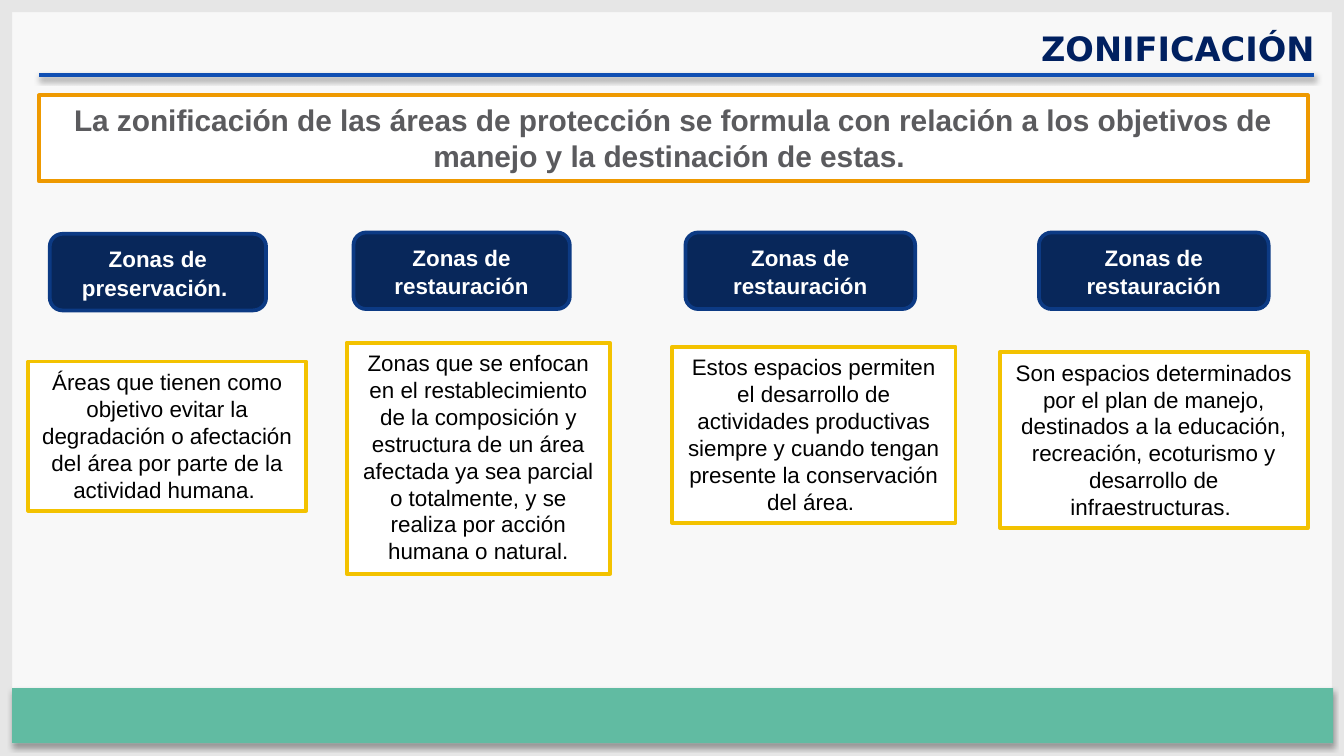
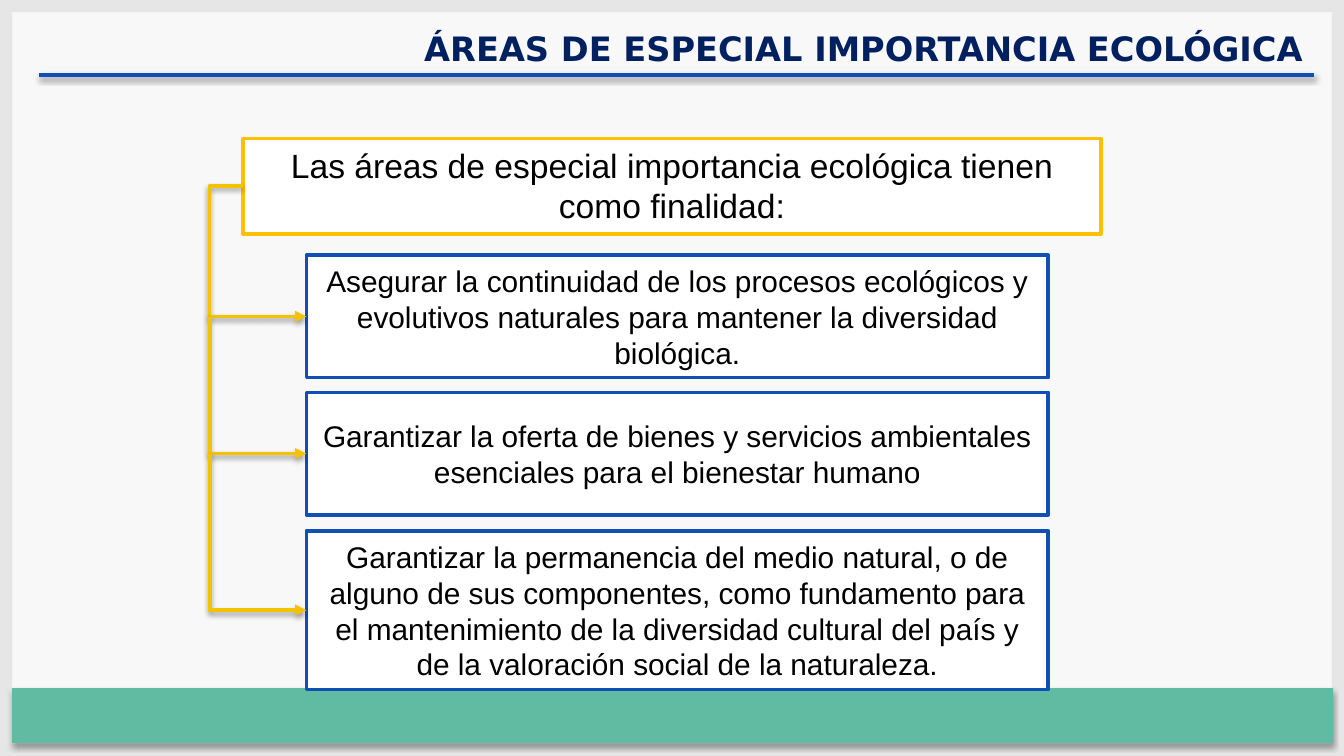
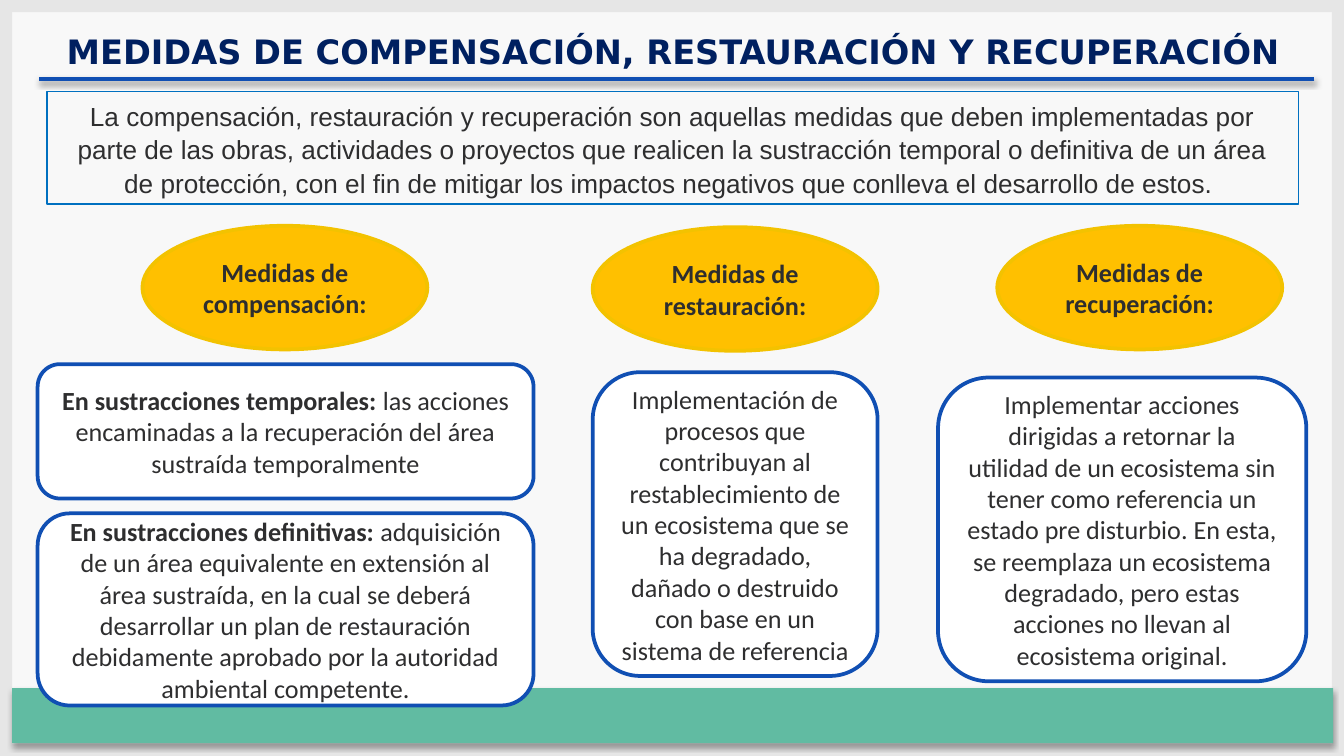
from lxml import etree
from pptx import Presentation
from pptx.dml.color import RGBColor
from pptx.enum.shapes import MSO_CONNECTOR as Connector, MSO_SHAPE as Shape
from pptx.enum.text import MSO_ANCHOR as Anchor, MSO_AUTO_SIZE as AutoSize, PP_ALIGN as Align
from pptx.oxml.ns import qn
from pptx.util import Inches, Pt

WIDTH, EDGE = 10, 0.09
HEIGHT = WIDTH * 9 / 16
PAPER, FRAME, BAND = "F8F8F8", "E6E6E6", "61BBA2"
NAVY, DEEP_BLUE, DEEP_EDGE, BLUE, THIN_BLUE = "002060", "08275A", "0C3A84", "104FB3", "0070C0"
ORANGE, YELLOW, AMBER = "EE9900", "F3C200", "FFC000"
WHITE, BLACK, GREY, INK = "FFFFFF", "000000", "5B5B5E", "2E2E2F"

ZONING_TITLE = "ZONIFICACIÓN"
ZONING_INTRO = (
    "La zonificación de las áreas de protección se formula con relación a los objetivos "
    "de manejo y la destinación de estas. "
)
ZONES = [
    ("Zonas de preservación. ", (0.37, 1.74, 1.61, 0.57),
     "Áreas que tienen como objetivo evitar la degradación o afectación del área por parte "
     "de la actividad humana. ", (0.21, 2.69, 2.07, 1.11)),
    ("Zonas de restauración", (2.63, 1.73, 1.61, 0.57),
     "Zonas que se enfocan en el restablecimiento de la composición y estructura de un área "
     "afectada ya sea parcial o totalmente, y se realiza por acción humana o natural.",
     (2.58, 2.55, 1.96, 1.72)),
    ("Zonas de restauración", (5.1, 1.73, 1.71, 0.57),
     "Estos espacios permiten el desarrollo de actividades productivas siempre y cuando "
     "tengan presente la conservación del área. ", (5, 2.58, 2.11, 1.31)),
    ("Zonas de restauración", (7.73, 1.73, 1.71, 0.57),
     "Son espacios determinados por el plan de manejo, destinados a la educación, recreación, "
     "ecoturismo y desarrollo de infraestructuras. ", (7.44, 2.62, 2.29, 1.31)),
]

ECOLOGY_TITLE = "ÁREAS DE ESPECIAL IMPORTANCIA ECOLÓGICA "
ECOLOGY_INTRO = "Las áreas de especial importancia ecológica tienen como finalidad:"
PURPOSES = [
    ("Asegurar la continuidad de los procesos ecológicos y evolutivos naturales para mantener "
     "la diversidad biológica.", 1.9, 0.91),
    ("Garantizar la oferta de bienes y servicios ambientales esenciales para el bienestar "
     "humano", 2.92, 0.91),
    ("Garantizar la permanencia del medio natural, o de alguno de sus componentes, como "
     "fundamento para el mantenimiento de la diversidad cultural del país y de la valoración "
     "social de la naturaleza.", 3.95, 1.18),
]

MEASURES_TITLE = "MEDIDAS DE COMPENSACIÓN, RESTAURACIÓN Y RECUPERACIÓN"
MEASURES_INTRO = (
    "La compensación, restauración y recuperación son aquellas medidas que deben "
    "implementadas por parte de las obras, actividades o proyectos que realicen la "
    "sustracción temporal o definitiva de un área de protección, con el fin de mitigar los "
    "impactos negativos que conlleva el desarrollo de estos. "
)
MEASURES = [
    ("Medidas de compensación:", 1.06, 1.68, [
        ("En sustracciones temporales: ",
         "las acciones encaminadas a la recuperación del área sustraída temporalmente",
         (0.28, 2.71, 3.69, 1)),
        ("En sustracciones definitivas: ",
         "adquisición de un área equivalente en extensión al área sustraída, en la cual se "
         "deberá desarrollar un plan de restauración debidamente aprobado por la autoridad "
         "ambiental competente.", (0.28, 3.82, 3.69, 1.43)),
    ]),
    ("Medidas de restauración:", 4.41, 1.69, [
        ("", "Implementación de procesos que contribuyan al restablecimiento de un ecosistema "
         "que se ha degradado, dañado o destruido con base en un sistema de referencia",
         (4.41, 2.77, 2.12, 2.26)),
    ]),
    ("Medidas de recuperación:", 7.42, 1.68, [
        ("", "Implementar acciones dirigidas a retornar la utilidad de un ecosistema sin tener "
         "como referencia un estado pre disturbio. En esta, se reemplaza un ecosistema "
         "degradado, pero estas acciones no llevan al ecosistema original.",
         (6.98, 2.81, 2.74, 2.26)),
    ]),
]


def color(value):
    return RGBColor.from_string(value)


def add_shadow(item, opacity, distance):
    properties = item._element.spPr
    for old in properties.findall(qn("a:effectLst")):
        properties.remove(old)
    effects = etree.SubElement(properties, qn("a:effectLst"))
    outer = etree.SubElement(effects, qn("a:outerShdw"), blurRad=str(Pt(3.1)),
                             dist=str(Pt(distance)), dir="5400000", rotWithShape="0")
    tint = etree.SubElement(outer, qn("a:srgbClr"), val=BLACK)
    etree.SubElement(tint, qn("a:alpha"), val=str(opacity * 1000))


def write(box, text, size=12, font="Arial", ink=BLACK, bold=False, lead="",
          align=Align.CENTER, anchor=Anchor.TOP, spacing=None):
    frame = box.text_frame
    frame.word_wrap = True
    frame.vertical_anchor = anchor
    frame.auto_size = AutoSize.SHAPE_TO_FIT_TEXT if anchor == Anchor.TOP else AutoSize.NONE
    para = frame.paragraphs[0]
    para.alignment = align
    if spacing:
        para.line_spacing = spacing
    for words, heavy in ((lead, True), (text, bold)):
        if words:
            span = para.add_run()
            span.text = words
            span.font.size, span.font.name, span.font.bold = Pt(size), font, heavy
            span.font.color.rgb = color(ink)


def add_box(page, place, fill=WHITE, edge=None, weight=2, kind=Shape.RECTANGLE):
    box = page.shapes.add_shape(kind, *map(Inches, place))
    box.shadow.inherit = False
    if fill:
        box.fill.solid()
        box.fill.fore_color.rgb = color(fill)
    else:
        box.fill.background()
    if edge:
        box.line.color.rgb = color(edge)
        box.line.width = Pt(weight)
    else:
        box.line.fill.background()
    return box


def add_line(page, kind, start, end, ink):
    line = page.shapes.add_connector(kind, *map(Inches, start + end))
    line.line.color.rgb = color(ink)
    line.line.width = Pt(2)
    add_shadow(line, 38, 1.6)
    return line


def add_branch(page, start, end, trunk):
    branch = add_line(page, Connector.ELBOW, start, end, YELLOW)
    bend = round((trunk - start[0]) / (end[0] - start[0]) * 100000)
    guides = branch._element.spPr.find(qn("a:prstGeom")).get_or_add_avLst()
    etree.SubElement(guides, qn("a:gd"), name="adj1", fmla=f"val {bend}")
    etree.SubElement(branch.line._get_or_add_ln(), qn("a:tailEnd"), type="triangle")
    return branch


def add_page(deck, title, place=(2.91, 0.16, 6.97, 0.4), align=Align.RIGHT, rule=0.56):
    page = deck.slides.add_slide(deck.slide_layouts[6])
    page.background.fill.solid()
    page.background.fill.fore_color.rgb = color(PAPER)
    for strip in ((0, 0, WIDTH, EDGE), (0, HEIGHT - EDGE, WIDTH, EDGE),
                  (0, 0, EDGE, HEIGHT), (WIDTH - EDGE, 0, EDGE, HEIGHT)):
        add_box(page, strip, FRAME)
    add_shadow(add_box(page, (EDGE, 5.12, 9.83, 0.41), BAND), 35, 1.8)
    heading = page.shapes.add_textbox(*map(Inches, place))
    write(heading, title, size=18, font="DejaVu Sans", ink=NAVY, bold=True, align=align)
    add_line(page, Connector.STRAIGHT, (9.78, rule), (0.29, rule), BLUE)
    return page


def build_zoning(deck):
    page = add_page(deck, ZONING_TITLE)
    write(add_box(page, (0.29, 0.71, 9.44, 0.64), edge=ORANGE), ZONING_INTRO,
          size=16, ink=GREY, bold=True)
    for name, name_place, detail, detail_place in ZONES:
        label = add_box(page, name_place, DEEP_BLUE, DEEP_EDGE, kind=Shape.ROUNDED_RECTANGLE)
        write(label, name, ink=WHITE, bold=True, anchor=Anchor.MIDDLE, spacing=1.07)
        write(add_box(page, detail_place, edge=YELLOW), detail)


def build_ecology(deck):
    page = add_page(deck, ECOLOGY_TITLE, (2.91, 0.16, 6.97, 0.71))
    left, top, width, height = 1.81, 1.03, 6.38, 0.71
    intro = add_box(page, (left, top, width, height), edge=AMBER)
    write(intro, ECOLOGY_INTRO, size=18)
    trunk, indent = 1.56, 2.28
    start = (left, top + height / 2)
    for purpose, top, height in PURPOSES:
        box = add_box(page, (indent, top, 5.52, height), edge=BLUE)
        write(box, purpose, size=16, anchor=Anchor.MIDDLE)
        middle = top + height / 2
        branch = add_branch(page, start, (indent, middle), trunk)
        if start[0] == left:
            branch.begin_connect(intro, 1)
        branch.end_connect(box, 1)
        start = (trunk, middle)


def build_measures(deck):
    page = add_page(deck, MEASURES_TITLE, (0.28, 0.18, 9.46, 0.4), Align.CENTER, 0.59)
    write(add_box(page, (0.35, 0.68, 9.31, 0.84), None, THIN_BLUE, 0.75), MEASURES_INTRO,
          size=14, ink=INK, spacing=1.07)
    style = dict(size=14, font="Calibri", ink=INK, anchor=Anchor.MIDDLE)
    for name, left, top, details in MEASURES:
        oval = add_box(page, (left, top, 2.12, 0.92), AMBER, YELLOW, kind=Shape.OVAL)
        write(oval, name, bold=True, **style)
        for lead, detail, place in details:
            box = add_box(page, place, edge=BLUE, kind=Shape.ROUNDED_RECTANGLE)
            write(box, detail, lead=lead, **style)


def main():
    deck = Presentation()
    deck.slide_width, deck.slide_height = Inches(WIDTH), Inches(HEIGHT)
    for build in (build_zoning, build_ecology, build_measures):
        build(deck)
    deck.save("out.pptx")


if __name__ == "__main__":
    main()
